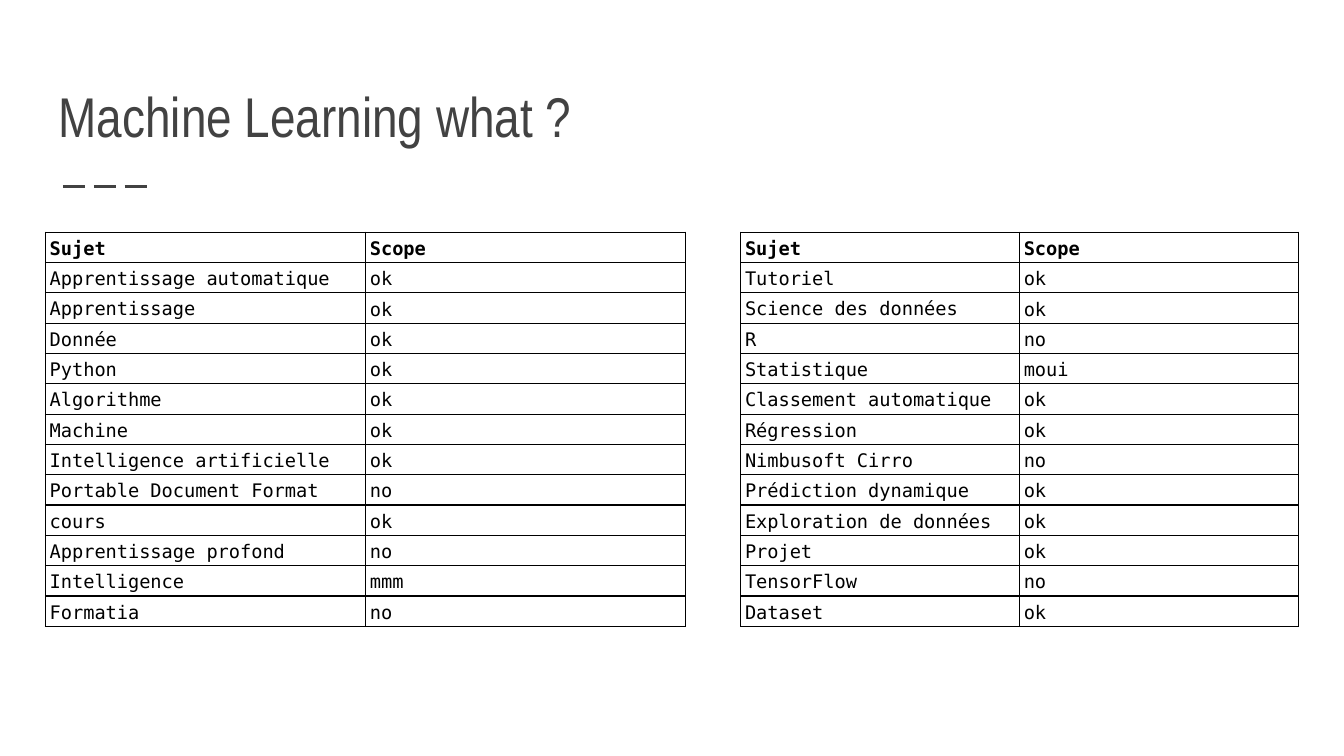
from lxml.etree import SubElement
from pptx import Presentation
from pptx.dml.color import RGBColor
from pptx.enum.dml import MSO_LINE
from pptx.enum.shapes import MSO_CONNECTOR
from pptx.enum.text import MSO_ANCHOR, MSO_AUTO_SIZE, PP_ALIGN
from pptx.oxml.ns import qn
from pptx.util import Cm, Pt

BLACK = RGBColor(0x00, 0x00, 0x00)
GREY = RGBColor(0x42, 0x42, 0x42)

TITLE_FONT = "Arial Narrow"
TABLE_FONT = "DejaVu Sans Mono"
TABLE_TOP = Cm(4.39)
ROW_HEIGHT = Cm(0.56)

HEADER = ("Sujet", "Scope")
LEFT_SUBJECTS = [
    ("Apprentissage automatique", "ok"),
    ("Apprentissage", "ok"),
    ("Donnée", "ok"),
    ("Python", "ok"),
    ("Algorithme", "ok"),
    ("Machine", "ok"),
    ("Intelligence artificielle", "ok"),
    ("Portable Document Format", "no"),
    ("cours", "ok"),
    ("Apprentissage profond", "no"),
    ("Intelligence", "mmm"),
    ("Formatia", "no"),
]
RIGHT_SUBJECTS = [
    ("Tutoriel", "ok"),
    ("Science des données", "ok"),
    ("R", "no"),
    ("Statistique", "moui"),
    ("Classement automatique", "ok"),
    ("Régression", "ok"),
    ("Nimbusoft Cirro", "no"),
    ("Prédiction dynamique", "ok"),
    ("Exploration de données", "ok"),
    ("Projet", "ok"),
    ("TensorFlow", "no"),
    ("Dataset", "ok"),
]


def write_text(text_frame, text, *, font, size, color, bold=False, spacing=None):
    paragraph = text_frame.paragraphs[0]
    paragraph.alignment = PP_ALIGN.LEFT
    paragraph.line_spacing = spacing
    run = paragraph.add_run()
    run.text = text
    run.font.name = font
    run.font.size = Pt(size)
    run.font.bold = bold
    run.font.color.rgb = color


def set_margins(target, horizontal, vertical):
    target.margin_left = target.margin_right = horizontal
    target.margin_top = target.margin_bottom = vertical


def fill_title(slide, text):
    title = slide.shapes.title
    title.left, title.top = Cm(0.86), Cm(1.04)
    title.width, title.height = Cm(23.67), Cm(2.03)
    text_frame = title.text_frame
    text_frame.auto_size = MSO_AUTO_SIZE.NONE
    text_frame.word_wrap = True
    text_frame.vertical_anchor = MSO_ANCHOR.BOTTOM
    set_margins(text_frame, Cm(0.25), Cm(0.25))
    write_text(text_frame, text, font=TITLE_FONT, size=30, color=GREY)


def add_dashed_line(slide, start, end, top):
    connector = slide.shapes.add_connector(MSO_CONNECTOR.STRAIGHT, start, top, end, top)
    connector.line.color.rgb = GREY
    connector.line.width = Pt(1.5)
    connector.line.dash_style = MSO_LINE.LONG_DASH
    SubElement(connector._element.spPr, qn("a:effectLst"))


def add_borders(cell):
    properties = cell._tc.get_or_add_tcPr()
    for side in ("lnL", "lnR", "lnT", "lnB"):
        border = SubElement(properties, qn(f"a:{side}"), w=str(Pt(0.75)))
        fill = SubElement(border, qn("a:solidFill"))
        SubElement(fill, qn("a:srgbClr"), val=str(BLACK))


def format_cell(cell, text, anchor, bold):
    set_margins(cell, Cm(0.08), Cm(0.05))
    cell.vertical_anchor = anchor
    add_borders(cell)
    cell.fill.background()
    write_text(cell.text_frame, text, font=TABLE_FONT, size=10, color=BLACK,
               bold=bold, spacing=1.15)


def add_subject_table(slide, left, column_width, subjects):
    rows = [HEADER, *subjects]
    table = slide.shapes.add_table(
        len(rows), len(HEADER), left, TABLE_TOP,
        column_width * len(HEADER), ROW_HEIGHT * len(rows),
    ).table
    table.first_row = False
    table.horz_banding = False
    for row_index, values in enumerate(rows):
        table.rows[row_index].height = ROW_HEIGHT
        for column_index, text in enumerate(values):
            anchor = MSO_ANCHOR.BOTTOM if column_index else MSO_ANCHOR.TOP
            format_cell(table.cell(row_index, column_index), text, anchor, row_index == 0)


def main():
    presentation = Presentation()
    presentation.slide_width = Cm(25.4)
    presentation.slide_height = Cm(14.29)
    slide = presentation.slides.add_slide(presentation.slide_layouts[5])
    add_dashed_line(slide, Cm(1.19), Cm(2.9), Cm(3.53))
    fill_title(slide, "Machine Learning what ?")
    add_subject_table(slide, Cm(0.86), Cm(6.05), LEFT_SUBJECTS)
    add_subject_table(slide, Cm(14), Cm(5.27), RIGHT_SUBJECTS)
    presentation.save("out.pptx")


if __name__ == "__main__":
    main()
